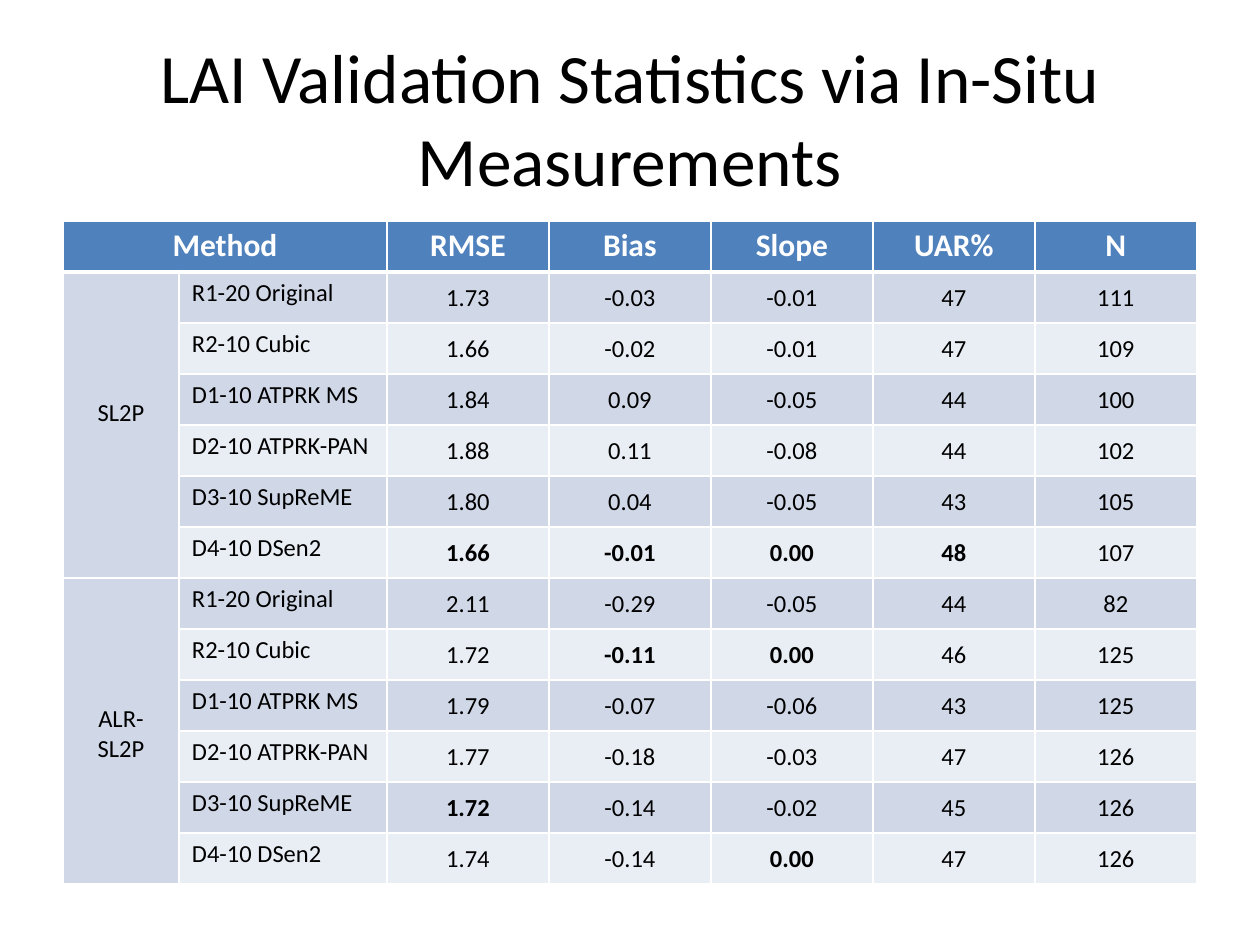
from dataclasses import dataclass

from lxml.etree import SubElement
from pptx import Presentation
from pptx.dml.color import RGBColor
from pptx.enum.text import MSO_ANCHOR as Anchor, MSO_AUTO_SIZE as AutoSize, PP_ALIGN as Align
from pptx.oxml.ns import qn
from pptx.util import Emu, Pt

EMU_PER_PX = 914400 / 126


@dataclass(frozen=True)
class Theme:
    """Colours, font and type sizes of the slide."""
    font: str = "Calibri"
    ink: str = "000000"
    paper: str = "FFFFFF"
    header: str = "4F81BD"
    bands: tuple = ("D0D8E8", "E9EDF4")
    title_size: float = 39.6
    header_size: int = 18
    body_size: int = 14


THEME = Theme()
TITLE = "LAI Validation Statistics via In-Situ Measurements"
TITLE_BOX = (63, 38, 1134, 158)
TABLE_BOX = (63, 221, 1134, 663)
COLUMN_WIDTHS = (116, 208, 162, 162, 162, 162, 162)
HEADINGS = ("Method", "", "RMSE", "Bias", "Slope", "UAR%", "N")
METHODS = ("R1-20 Original", "R2-10 Cubic", "D1-10 ATPRK MS",
           "D2-10 ATPRK-PAN", "D3-10 SupReME", "D4-10 DSen2")
STATISTICS = {
    "SL2P": (
        ("1.73", "-0.03", "-0.01", "47", "111"),
        ("1.66", "-0.02", "-0.01", "47", "109"),
        ("1.84", "0.09", "-0.05", "44", "100"),
        ("1.88", "0.11", "-0.08", "44", "102"),
        ("1.80", "0.04", "-0.05", "43", "105"),
        ("1.66", "-0.01", "0.00", "48", "107"),
    ),
    "ALR-SL2P": (
        ("2.11", "-0.29", "-0.05", "44", "82"),
        ("1.72", "-0.11", "0.00", "46", "125"),
        ("1.79", "-0.07", "-0.06", "43", "125"),
        ("1.77", "-0.18", "-0.03", "47", "126"),
        ("1.72", "-0.14", "-0.02", "45", "126"),
        ("1.74", "-0.14", "0.00", "47", "126"),
    ),
}
BEST = {
    "SL2P": {(5, 0), (5, 1), (5, 2), (5, 3)},
    "ALR-SL2P": {(1, 1), (1, 2), (4, 0), (5, 2)},
}
LABEL_MARGINS = (13, 6, 13, 6)
GROUP_MARGINS = (13, 126, 13, 6)
VALUE_MARGINS = (1, 1, 1, 0)


def px(length):
    """Turn pixels into EMU."""
    return Emu(round(length * EMU_PER_PX))


def write(frame, text, *, size, color=THEME.ink, bold=False, align=Align.CENTER):
    """Put one formatted paragraph into a text frame."""
    paragraph = frame.paragraphs[0]
    paragraph.alignment = align
    run = paragraph.add_run()
    run.text = text
    run.font.name = THEME.font
    run.font.size = Pt(size)
    run.font.bold = bold
    run.font.color.rgb = RGBColor.from_string(color)


def style_cell(cell, fill, bottom=1):
    """Give a cell its white rules and its fill."""
    properties = cell._tc.get_or_add_tcPr()
    for side, width in (("L", 1), ("R", 1), ("T", 1), ("B", bottom)):
        rule = SubElement(properties, qn(f"a:ln{side}"), w=str(Pt(width)))
        solid = SubElement(rule, qn("a:solidFill"))
        SubElement(solid, qn("a:srgbClr"), val=THEME.paper)
    cell.fill.solid()
    cell.fill.fore_color.rgb = RGBColor.from_string(fill)


def fill_cell(cell, text, *, margins=LABEL_MARGINS, anchor=Anchor.TOP,
              size=THEME.body_size, **text_format):
    """Set the margins, anchor and text of a cell."""
    cell.margin_left, cell.margin_top, cell.margin_right, cell.margin_bottom = map(px, margins)
    cell.vertical_anchor = anchor
    write(cell.text_frame, text, size=size, **text_format)


def place_title(slide, box):
    """Place the slide title in its box."""
    title = slide.shapes.title
    title.left, title.top, title.width, title.height = map(px, box)
    frame = title.text_frame
    frame.word_wrap = True
    frame.auto_size = AutoSize.NONE
    frame.vertical_anchor = Anchor.MIDDLE
    write(frame, TITLE, size=THEME.title_size)


def fill_header(table):
    """Fill the heading row, with Method over two columns."""
    for column, heading in enumerate(HEADINGS):
        cell = table.cell(0, column)
        style_cell(cell, THEME.header, bottom=3)
        if heading:
            fill_cell(cell, heading, size=THEME.header_size, color=THEME.paper, bold=True)
    table.cell(0, 0).merge(table.cell(0, 1))


def fill_group(table, first_row, group):
    """Fill the rows of one group of methods."""
    for index, (method, values) in enumerate(zip(METHODS, STATISTICS[group])):
        row = first_row + index
        band = THEME.bands[index % 2]
        style_cell(table.cell(row, 0), THEME.bands[0])
        method_cell = table.cell(row, 1)
        style_cell(method_cell, band)
        fill_cell(method_cell, method, align=Align.LEFT)
        for column, value in enumerate(values):
            cell = table.cell(row, column + 2)
            style_cell(cell, band)
            fill_cell(cell, value, margins=VALUE_MARGINS, anchor=Anchor.MIDDLE,
                      bold=(index, column) in BEST[group])
    group_cell = table.cell(first_row, 0)
    group_cell.merge(table.cell(first_row + len(METHODS) - 1, 0))
    fill_cell(group_cell, group, margins=GROUP_MARGINS)


def place_statistics(slide, box):
    """Place the validation table in its box."""
    row_count = 1 + len(STATISTICS) * len(METHODS)
    table = slide.shapes.add_table(row_count, len(HEADINGS), *map(px, box)).table
    for column, width in zip(table.columns, COLUMN_WIDTHS):
        column.width = px(width)
    for row in table.rows:
        row.height = px(box[3] / row_count)
    fill_header(table)
    for position, group in enumerate(STATISTICS):
        fill_group(table, 1 + position * len(METHODS), group)


def main():
    """Build and save the slide."""
    presentation = Presentation()
    presentation.slide_width, presentation.slide_height = px(1260), px(945)
    slide = presentation.slides.add_slide(presentation.slide_layouts[5])
    place_title(slide, TITLE_BOX)
    place_statistics(slide, TABLE_BOX)
    presentation.save("out.pptx")


if __name__ == "__main__":
    main()
